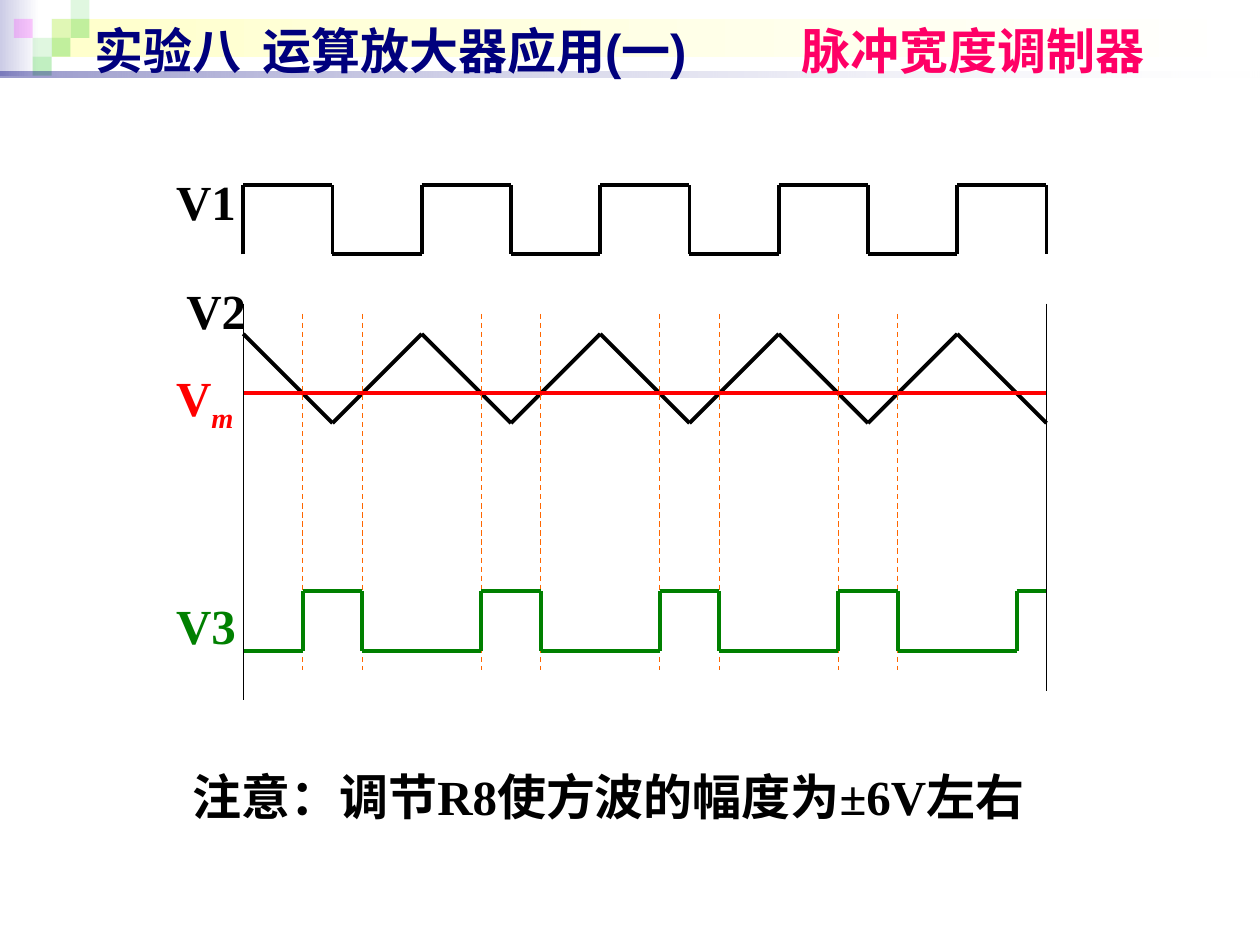
from dataclasses import dataclass
from itertools import pairwise

from lxml import etree
from pptx import Presentation, util as u
from pptx.dml import color
from pptx.enum import dml, shapes, text
from pptx.oxml import ns

COLORS = {
    "black": "000000", "white": "FFFFFF", "navy": "00007D", "pink": "FF0066",
    "red": "FF0000", "green": "008000", "orange": "FF6600", "lavender": "CCCCE6",
    "cream": "FFFFCC", "leaf": "33CC33", "magenta": "FF00FF",
}
X0, HALF, HALVES = 139, 51, 9
X_END = X0 + HALF * HALVES
PERIOD, PULSE = 2 * HALF, 34
V1_HIGH, V1_LOW = 105.8, 145.4
V2_HIGH, V2_LOW, VM = 190.8, 241.8, 224.7
V3_HIGH, V3_LOW = 337.8, 372
CELL = 10.8


@dataclass(frozen=True)
class Box:
    left: float
    top: float
    width: float
    height: float


@dataclass(frozen=True)
class Paint:
    color: str
    opacity: int = 100


@dataclass(frozen=True)
class Run:
    text: str
    color: str
    font: str = "Times New Roman"
    italic: bool = False
    baseline: int = 0


@dataclass(frozen=True)
class Label:
    box: Box
    runs: tuple[Run, ...]


def rgb(name: str) -> color.RGBColor:
    return color.RGBColor.from_string(COLORS[name])


def place(sp, box: Box) -> None:
    for side in ("left", "top", "width", "height"):
        setattr(sp, side, u.Pt(getattr(box, side)))


def add_block(s, box: Box, *paints: Paint) -> None:
    sp = s.shapes.add_shape(shapes.MSO_SHAPE.RECTANGLE, 0, 0, 0, 0)
    place(sp, box)
    sp.shadow.inherit = False
    sp.line.fill.background()
    if len(paints) == 1:
        sp.fill.solid()
        sp.fill.fore_color.rgb = rgb(paints[0].color)
    else:
        sp.fill.gradient()
        sp.fill.gradient_angle = 0
        for stop, paint in zip(sp.fill.gradient_stops, paints):
            stop.color.rgb = rgb(paint.color)
    fills = sp._element.spPr.findall(".//" + ns.qn("a:srgbClr"))
    for clr, paint in zip(fills, paints):
        if paint.opacity < 100:
            etree.SubElement(clr, ns.qn("a:alpha"), val=str(paint.opacity * 1000))


def add_trace(s, points: list, name: str, width: float = 2.25, dashed: bool = False) -> None:
    for (x1, y1), (x2, y2) in pairwise(points):
        ln = s.shapes.add_connector(
            shapes.MSO_CONNECTOR.STRAIGHT, u.Pt(x1), u.Pt(y1), u.Pt(x2), u.Pt(y2))
        ln.line.color.rgb = rgb(name)
        ln.line.width = u.Pt(width)
        if dashed:
            ln.line.dash_style = dml.MSO_LINE.DASH
        etree.SubElement(ln._element.spPr, ns.qn("a:effectLst"))


def fill_text(sp, label: Label, anchor: text.MSO_ANCHOR, fit: text.MSO_AUTO_SIZE) -> None:
    place(sp, label.box)
    tf = sp.text_frame
    frame_format = {"word_wrap": True, "vertical_anchor": anchor, "auto_size": fit}
    for key, value in frame_format.items():
        setattr(tf, key, value)
    p = tf.paragraphs[0]
    p.alignment = text.PP_ALIGN.LEFT
    for run in label.runs:
        r = p.add_run()
        r.text = run.text
        run_format = {"name": run.font, "size": u.Pt(28), "bold": True, "italic": run.italic}
        for key, value in run_format.items():
            setattr(r.font, key, value)
        r.font.color.rgb = rgb(run.color)
        if run.baseline:
            r.font._element.set("baseline", str(run.baseline * 1000))


def add_tabs(p, *stops: float) -> None:
    tabs = etree.SubElement(p._p.get_or_add_pPr(), ns.qn("a:tabLst"))
    for stop in stops:
        etree.SubElement(tabs, ns.qn("a:tab"), pos=str(u.Pt(stop)), algn="l")


def add_banner(s) -> None:
    add_block(s, Box(0, 0, 22.5, 43.2), Paint("lavender"), Paint("white"))
    add_block(s, Box(29.5, CELL, 687.6, 21.6), Paint("cream"), Paint("white"))
    pale, strong, accent = Paint("leaf", 15), Paint("leaf", 30), Paint("magenta", 20)
    cells = {(2, 1): pale, (3, 0): pale, (3, 1): strong, (1, 2): pale,
             (0, 1): accent, (2, 2): strong, (1, 3): strong}
    for (col, row), paint in cells.items():
        add_block(s, Box(7.9 + col * CELL, row * CELL, CELL, CELL), paint)
    add_block(s, Box(0, 40.8, 720, 3.8), Paint("navy", 40), Paint("white", 10))


def add_title(s) -> None:
    sp = s.shapes.title
    s.shapes._spTree.append(sp._element)
    add_tabs(sp.text_frame.paragraphs[0], 96, 404)
    title = Label(Box(46.8, 7.9, 648, 41), (
        Run("实验八\t运算放大器应用(一)\t", "navy", "Arial"),
        Run("脉冲宽度调制器", "pink", "Arial")))
    fill_text(sp, title, text.MSO_ANCHOR.MIDDLE, text.MSO_AUTO_SIZE.NONE)


def add_waveforms(s) -> None:
    edges = [X0 + i * HALF for i in range(HALVES + 1)]
    square = [(X0, V1_LOW)]
    for i, (left, right) in enumerate(pairwise(edges)):
        level = V1_LOW if i % 2 else V1_HIGH
        square += [(left, level), (right, level)]
    square.append((X_END, V1_LOW))
    triangle = [(x, V2_LOW if i % 2 else V2_HIGH) for i, x in enumerate(edges)]

    rises = range(X0 + PULSE, X_END, PERIOD)
    pulses = [(X0, V3_LOW)]
    for x in rises:
        pulses += [(x, V3_LOW), (x, V3_HIGH)]
        if x + PULSE < X_END:
            pulses += [(x + PULSE, V3_HIGH), (x + PULSE, V3_LOW)]
    pulses.append((X_END, V3_HIGH))

    add_trace(s, triangle, "black")
    add_trace(s, [(X0, VM), (X_END, VM)], "red")
    for rise in rises[:-1]:
        for x in (rise, rise + PULSE):
            add_trace(s, [(x, 179.3), (x, 383)], "orange", 0.75, True)
    add_trace(s, pulses, "green")
    for x, bottom in ((X0, 400.3), (X_END, 394.6)):
        add_trace(s, [(x, 173.5), (x, bottom)], "black", 0.75)
    add_trace(s, square, "black")


def main() -> None:
    prs = Presentation()
    prs.slide_width, prs.slide_height = u.Pt(720), u.Pt(540)
    s = prs.slides.add_slide(prs.slide_layouts[5])
    add_banner(s)
    add_title(s)
    add_waveforms(s)
    labels = (
        Label(Box(93.6, 206.6, 79.2, 41), (
            Run("V", "red"), Run("m", "red", italic=True, baseline=-25))),
        Label(Box(93.6, 337, 79.2, 41), (Run("V3", "green"),)),
        Label(Box(93.6, 94.3, 79.2, 41), (Run("V1", "black"),)),
        Label(Box(99.4, 157, 79.2, 41), (Run("V2", "black"),)),
        Label(Box(103, 434.2, 512, 41), (Run("注意：调节R8使方波的幅度为±6V左右", "black"),)),
    )
    for label in labels:
        sp = s.shapes.add_textbox(0, 0, 0, 0)
        fill_text(sp, label, text.MSO_ANCHOR.TOP, text.MSO_AUTO_SIZE.SHAPE_TO_FIT_TEXT)
    prs.save("out.pptx")


if __name__ == "__main__":
    main()
